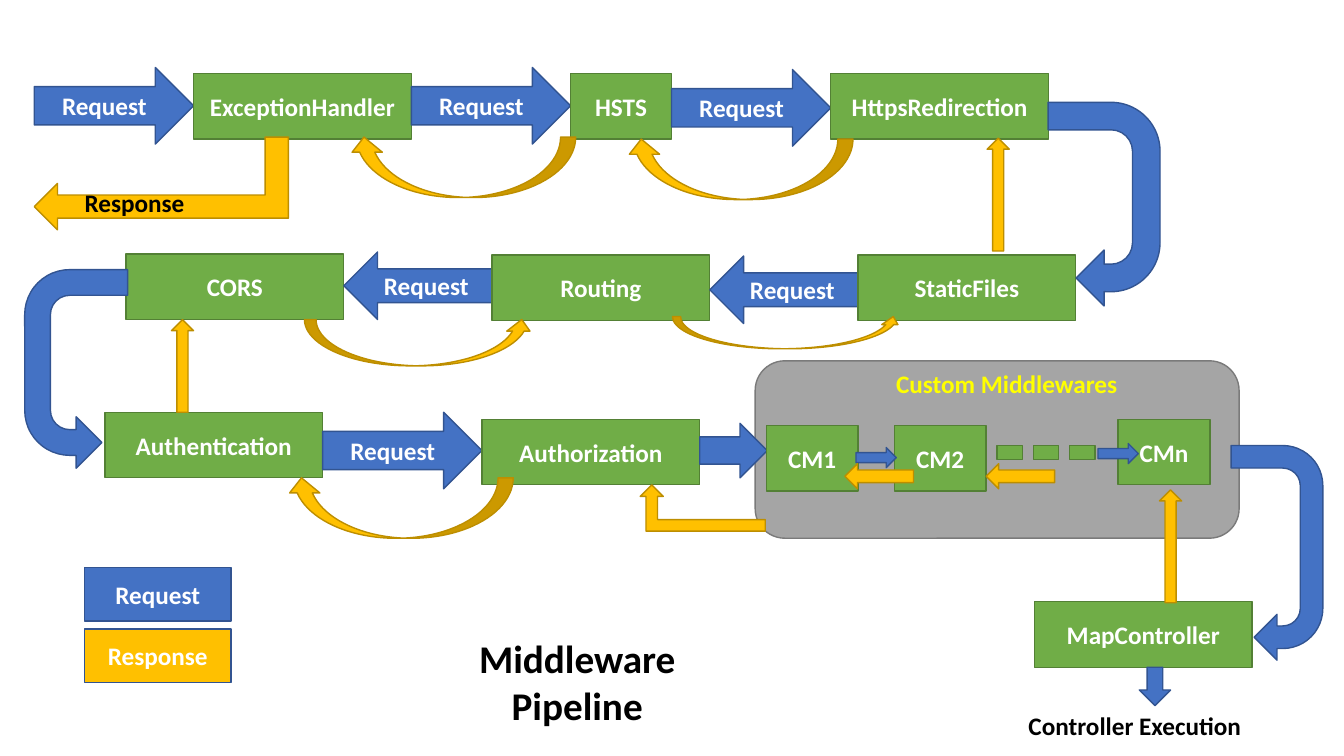
from pptx import Presentation
from pptx.dml.color import RGBColor
from pptx.enum import shapes, text
from pptx.util import Inches, Pt

KIND = shapes.MSO_SHAPE
COLORS = {
    "request": ("4472C4", "325491"),
    "response": ("FFC000", "BD8E00"),
    "response key": ("FFC000", "325491"),
    "middleware": ("70AD47", "538035"),
    "panel": ("A5A5A5", "7A7A7A"),
    "white": "FFFFFF",
    "black": "000000",
    "yellow": "FFFF00",
}
FONT = "Calibri"
BOX_WIDTH, BOX_HEIGHT = 2.16, 0.65
SMALL_WIDTH = 0.91

RIGHT = (KIND.RIGHT_ARROW, "request", "Request", 1.58, 0.76)
LEFT = (KIND.LEFT_ARROW, "request", "Request", 1.47, 0.67)
ENTRY = (KIND.RIGHT_ARROW, "request", "", 0.67, 0.54)


def middleware(label, width=BOX_WIDTH):
    return KIND.RECTANGLE, "middleware", label, width, BOX_HEIGHT


PIPELINE_ROWS = [
    (0.34, [(RIGHT, 0.67), (middleware("ExceptionHandler"), 0.73),
            (RIGHT, 0.67), (middleware("HSTS", 1), 0.73),
            (RIGHT, 0.69), (middleware("HttpsRedirection"), 0.73)]),
    (1.25, [(middleware("CORS"), 2.52), (LEFT, 2.5),
            (middleware("Routing"), 2.53), (LEFT, 2.54),
            (middleware("StaticFiles"), 2.53)]),
    (1.04, [(middleware("Authentication"), 4.09), (RIGHT, 4.09),
            (middleware("Authorization"), 4.16), (ENTRY, 4.2)]),
    (10.26, [(middleware("MapController"), 5.97)]),
]
CUSTOM_PANEL = (7.49, 3.58, 4.8, 1.76)
CUSTOM_BOXES = [("CM1", 7.6, 4.22), ("CM2", 8.87, 4.22), ("CMn", 11.09, 4.16)]
DASH_LEFT, DASH_TOP, DASH_STEP, DASH_COUNT = 9.89, 4.42, 0.36, 3

WIDE_TURN = [0.246, 0.25, 0.25, 0.438, 0.75]
REQUEST_ARROWS = [
    (KIND.U_TURN_ARROW, (9.94, 1.47, 2.02, 1.11), 90, False, WIDE_TURN),
    (KIND.U_TURN_ARROW, (-0.23, 3.15, 1.97, 1.02), 270, True, []),
    (KIND.U_TURN_ARROW, (11.6, 5.03, 2.13, 0.91), 90, False, WIDE_TURN),
    (KIND.RIGHT_ARROW, (8.49, 4.44, 0.4, 0.2), 0, False, []),
    (KIND.RIGHT_ARROW, (10.89, 4.4, 0.4, 0.2), 0, False, []),
    (KIND.DOWN_ARROW, (11.3, 6.62, 0.31, 0.38), 0, False, []),
]
RESPONSE_ARROWS = [
    (KIND.UP_ARROW, (11.5, 4.86, 0.22, 1.12), 0, False, []),
    (KIND.LEFT_ARROW, (9.78, 4.6, 0.68, 0.25), 0, False, []),
    (KIND.LEFT_ARROW, (8.38, 4.6, 0.68, 0.25), 0, False, []),
    (KIND.BENT_UP_ARROW, (6.35, 4.81, 1.24, 0.46), 0, True, []),
    (KIND.CURVED_DOWN_ARROW, (2.84, 4.74, 2.25, 0.6), 180, False, []),
    (KIND.UP_ARROW, (1.7, 3.17, 0.22, 0.92), 0, False, []),
    (KIND.CURVED_UP_ARROW, (3.02, 3.17, 2.27, 0.46), 0, False, []),
    (KIND.CURVED_UP_ARROW, (6.67, 3.14, 2.27, 0.32), 0, False, []),
    (KIND.UP_ARROW, (9.79, 1.37, 0.22, 1.12), 0, False, []),
    (KIND.CURVED_DOWN_ARROW, (6.21, 1.38, 2.25, 0.6), 180, False, []),
    (KIND.CURVED_DOWN_ARROW, (3.46, 1.36, 2.25, 0.6), 180, False, []),
    (KIND.BENT_UP_ARROW, (1.14, 0.56, 0.92, 2.52), 270, True, []),
]
LEGEND = [("Request", "request", 5.63), ("Response", "response key", 6.24)]
LABELS = [
    ("Custom Middlewares", (8.06, 3.61, 3.85, 0.4), "yellow", text.PP_ALIGN.CENTER),
    ("Controller Execution", (9.51, 7, 3.49, 0.4), "black", text.PP_ALIGN.CENTER),
    ("Response", (0.74, 1.81, 1.88, 0.4), "black", text.PP_ALIGN.LEFT),
]
TITLE = "Middleware\nPipeline"
TITLE_AREA = (3.96, 6.24, 3.53, 1.04)

deck = Presentation()
deck.slide_width, deck.slide_height = Inches(13.33), Inches(7.5)
page = deck.slides.add_slide(deck.slide_layouts[5])


def write(shape, words, color, size=18, align=text.PP_ALIGN.CENTER,
          anchor=text.MSO_ANCHOR.MIDDLE):
    frame = shape.text_frame
    frame.text = words
    frame.word_wrap = True
    frame.vertical_anchor = anchor
    for para in frame.paragraphs:
        para.alignment = align
        para.line_spacing = 1.0
        for span in para.runs:
            span.font.name = FONT
            span.font.size = Pt(size)
            span.font.bold = True
            span.font.color.rgb = RGBColor.from_string(COLORS[color])


def draw(kind, area, role, label="", turn=0, flip=False, adjust=()):
    shape = page.shapes.add_shape(kind, *map(Inches, area))
    fill, line = COLORS[role]
    shape.shadow.inherit = False
    shape.fill.solid()
    shape.fill.fore_color.rgb = RGBColor.from_string(fill)
    shape.line.color.rgb = RGBColor.from_string(line)
    shape.line.width = Pt(1)
    shape.rotation = turn
    if flip:
        shape._element.spPr.xfrm.set("flipH", "1")
    for index, value in enumerate(adjust):
        shape.adjustments[index] = value
    if label:
        write(shape, label, "white")


title = page.shapes.title
title.left, title.top, title.width, title.height = map(Inches, TITLE_AREA)
write(title, TITLE, "black", 28, anchor=text.MSO_ANCHOR.TOP)
title.text_frame.auto_size = text.MSO_AUTO_SIZE.NONE

draw(KIND.ROUNDED_RECTANGLE, CUSTOM_PANEL, "panel")

for left, stages in PIPELINE_ROWS:
    for (kind, role, label, width, height), top in stages:
        draw(kind, (left, top, width, height), role, label)
        left += width

for label, left, top in CUSTOM_BOXES:
    draw(KIND.RECTANGLE, (left, top, SMALL_WIDTH, BOX_HEIGHT), "middleware", label)
for index in range(DASH_COUNT):
    dash = (DASH_LEFT + index * DASH_STEP, DASH_TOP, 0.25, 0.14)
    draw(KIND.RECTANGLE, dash, "middleware")

for role, arrows in (("request", REQUEST_ARROWS), ("response", RESPONSE_ARROWS)):
    for kind, area, turn, flip, adjust in arrows:
        draw(kind, area, role, turn=turn, flip=flip, adjust=adjust)

for label, role, top in LEGEND:
    draw(KIND.RECTANGLE, (0.84, top, 1.45, 0.53), role, label)

for words, area, color, align in LABELS:
    box = page.shapes.add_textbox(*map(Inches, area))
    write(box, words, color, align=align, anchor=text.MSO_ANCHOR.TOP)

deck.save("out.pptx")
